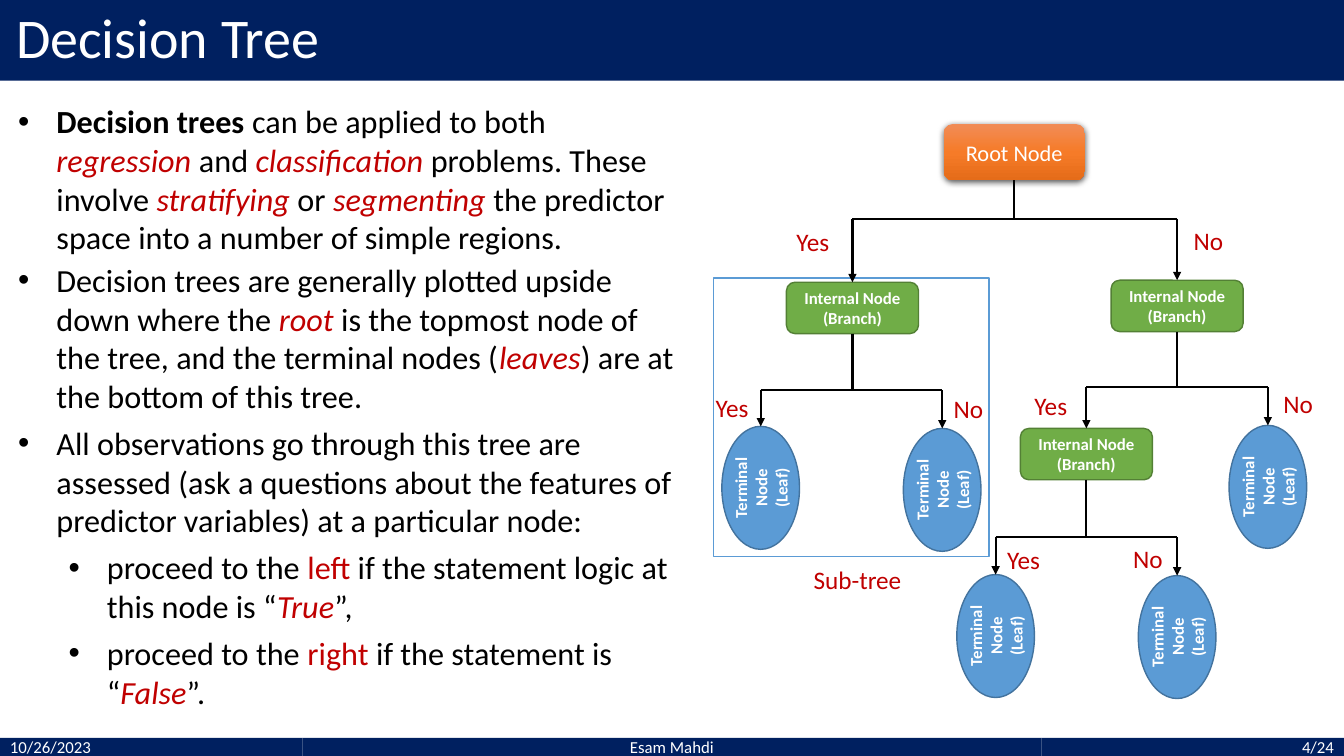
from copy import deepcopy

from lxml import etree
from pptx import Presentation
from pptx.dml.color import RGBColor
from pptx.enum import shapes, text
from pptx.oxml import ns, parse_xml
from pptx.util import Inches, Pt

NAVY, RED, BLACK, WHITE = "002060", "C00000", "000000", "FFFFFF"
BLUE, GREEN = "5B9BD5", "70AD47"
LEFT, CENTER, RIGHT = text.PP_ALIGN.LEFT, text.PP_ALIGN.CENTER, text.PP_ALIGN.RIGHT
KIND = shapes.MSO_SHAPE

# Runs marked "k" are red, "i" red italic, "b" bold
BULLETS = [
    (0, [("Decision trees ", "b"), ("can be applied to both ", ""), ("regression", "i"),
         (" and ", ""), ("classification", "i"), (" problems. These involve ", ""),
         ("stratifying", "i"), (" or ", ""), ("segmenting", "i"),
         (" the predictor space into a number of simple regions.", "")]),
    (0, [("Decision trees are generally plotted upside down where the ", ""), ("root", "i"),
         (" is the topmost node of the tree, and the terminal nodes (", ""), ("leaves", "i"),
         (") are at the bottom of this tree.", "")]),
    (0, [("All observations go through this tree are assessed (ask a questions about "
          "the features of predictor variables) at a particular node:", "")]),
    (1, [("proceed to the ", ""), ("left", "k"),
         (" if the statement logic at this node is “", ""), ("True", "i"), ("”,", "")]),
    (1, [("proceed to the ", ""), ("right", "k"), (" if the statement is “", ""),
         ("False", "i"), ("”.", "")]),
]


def rgb(color):
    return RGBColor.from_string(color)


def place(sp, x, y, w, h):
    sp.left, sp.top, sp.width, sp.height = (Inches(v) for v in (x, y, w, h))


def add_run(p, words, size=12, color=WHITE, bold=False, italic=False):
    r = p.add_run()
    r.text = words
    r.font.name, r.font.size = "Calibri", Pt(size)
    r.font.bold, r.font.italic = bold, italic
    r.font.color.rgb = rgb(color)


def write(sp, words, align=CENTER, anchor=text.MSO_ANCHOR.MIDDLE, **fmt):
    tf = sp.text_frame
    tf.word_wrap = True
    tf.vertical_anchor = anchor
    p = tf.paragraphs[0]
    p.alignment = align
    add_run(p, words, **fmt)
    return p


def set_indent(p, left, first):
    pPr = p._p.get_or_add_pPr()
    pPr.set("marL", str(Inches(left)))
    pPr.set("indent", str(Inches(first)))
    return pPr


def add_box(slide, kind, x, y, w, h, fill, line=None):
    sp = slide.shapes.add_shape(kind, *(Inches(v) for v in (x, y, w, h)))
    sp.shadow.inherit = False
    sp.fill.solid()
    sp.fill.fore_color.rgb = rgb(fill)
    if line:
        sp.line.color.rgb = rgb(line)
        sp.line.width = Pt(1)
    else:
        sp.line.fill.background()
    return sp


def add_root(slide):
    sp = add_box(slide, KIND.ROUNDED_RECTANGLE, 9.36, 1.23, 1.4, 0.56, "F67B28")
    sp.fill.gradient()
    sp.fill.gradient_angle = 270
    first = sp.fill._fill._gradFill.gsLst[0]
    first.addnext(deepcopy(first))
    for stop, pos, color in zip(sp.fill.gradient_stops, (0, 0.5, 1),
                                ("F18C57", "F67B28", "E56C19")):
        stop.position, stop.color.rgb = pos, rgb(color)
    sp._element.spPr.find(ns.qn("a:effectLst")).append(parse_xml(
        f'<a:outerShdw {ns.nsdecls("a")} blurRad="57150" dist="19050" dir="5400000">'
        '<a:srgbClr val="000000"><a:alpha val="63000"/></a:srgbClr></a:outerShdw>'))
    write(sp, "Root Node", size=16)
    return sp


def add_branch_node(slide, x, y):
    sp = add_box(slide, KIND.ROUNDED_RECTANGLE, x, y, 1.31, 0.51, GREEN, "538035")
    write(sp, "Internal Node (Branch)", bold=True)
    return sp


def add_leaf(slide, x, y):
    sp = add_box(slide, KIND.OVAL, x, y, 0.77, 1.22, BLUE, "43739E")
    write(sp, "Terminal Node (Leaf)", bold=True)
    sp.text_frame._txBody.bodyPr.set("vert", "vert270")
    return sp


def add_line(slide, x1, y1, x2, y2, arrow=False):
    cn = slide.shapes.add_connector(shapes.MSO_CONNECTOR.STRAIGHT, x1, y1, x2, y2)
    cn.line.color.rgb = rgb(BLACK)
    cn.line.width = Pt(1.5)
    if arrow:
        etree.SubElement(cn.line._get_or_add_ln(), ns.qn("a:tailEnd"), type="triangle")
    etree.SubElement(cn._element.spPr, ns.qn("a:effectLst"))
    return cn


def split(slide, parent, children, bar_y):
    """Stem below the parent, a bar, and an arrow down to each child."""
    bar = Inches(bar_y)
    middle = parent.left + parent.width // 2
    stem = add_line(slide, middle, parent.top + parent.height, middle, bar)
    stem.begin_connect(parent, 2)
    ends = [child.left + child.width // 2 for child in children]
    add_line(slide, ends[0], bar, ends[1], bar)
    for child, x in zip(children, ends):
        add_line(slide, x, bar, x, child.top, arrow=True).end_connect(child, 0)


def add_label(slide, words, x, y, w=0.58, align=LEFT):
    sp = slide.shapes.add_textbox(*(Inches(v) for v in (x, y, w, 0.4)))
    write(sp, words, align, text.MSO_ANCHOR.TOP, size=18, color=RED)


def fill_title(sp):
    place(sp, 0, 0, 13.33, 0.8)
    sp.fill.solid()
    sp.fill.fore_color.rgb = rgb(NAVY)
    p = write(sp, "Decision Tree", LEFT, size=40)
    p.line_spacing = 0.9
    set_indent(p, 0.06, 0)


def fill_body(sp):
    place(sp, 0.08, 0.96, 6.72, 6.2)
    tf = sp.text_frame
    tf.auto_size = text.MSO_AUTO_SIZE.NONE
    for i, (level, runs) in enumerate(BULLETS):
        p = tf.add_paragraph() if i else tf.paragraphs[0]
        p.level = level
        p.space_before = p.space_after = Pt(3 if i else 0)
        pPr = set_indent(p, 0.38 + 0.5 * level, -0.38)
        etree.SubElement(pPr, ns.qn("a:buFont"), typeface="Arial")
        etree.SubElement(pPr, ns.qn("a:buChar"), char="•")
        for words, style in runs:
            add_run(p, words, size=23, color=RED if style in ("k", "i") else BLACK,
                    bold=style == "b", italic=style == "i")


def main():
    prs = Presentation()
    prs.slide_width, prs.slide_height = Inches(13.33), Inches(7.5)
    slide = prs.slides.add_slide(prs.slide_layouts[1])

    # Title and list
    fill_title(slide.shapes.title)
    fill_body(slide.placeholders[1])

    # Footer bar
    for words, x, w, align in (("10/26/2023", 0, 3, LEFT), ("Esam Mahdi", 3, 7.33, CENTER),
                               ("4/24", 10.33, 3, RIGHT)):
        write(add_box(slide, KIND.RECTANGLE, x, 7.32, w, 0.18, NAVY), words, align)

    # Sub-tree frame
    add_box(slide, KIND.RECTANGLE, 7.08, 2.76, 2.73, 2.76, WHITE, BLUE)

    # Nodes
    root = add_root(slide)
    left, right, lower = (add_branch_node(slide, x, y)
                          for x, y in ((7.8, 2.8), (11.02, 2.78), (10.12, 4.25)))
    leaves = [add_leaf(slide, x, y) for x, y in (
        (7.16, 4.23), (8.96, 4.25), (12.19, 4.22), (9.49, 5.7), (11.29, 5.71))]

    # Splits
    split(slide, root, (left, right), 2.17)
    split(slide, left, leaves[:2], 3.87)
    split(slide, right, (lower, leaves[2]), 3.84)
    split(slide, lower, leaves[3:], 5.33)

    # Answers
    for x, y in ((7.8, 2.2), (7, 3.84), (10.16, 3.82), (9.89, 5.35)):
        add_label(slide, "Yes", x, y)
    for x, y in ((11.74, 2.19), (9.36, 3.85), (12.63, 3.8), (11.14, 5.34)):
        add_label(slide, "No", x, y)
    add_label(slide, "Sub-tree", 7.84, 5.55, 1.33, CENTER)

    prs.save("out.pptx")


if __name__ == "__main__":
    main()
